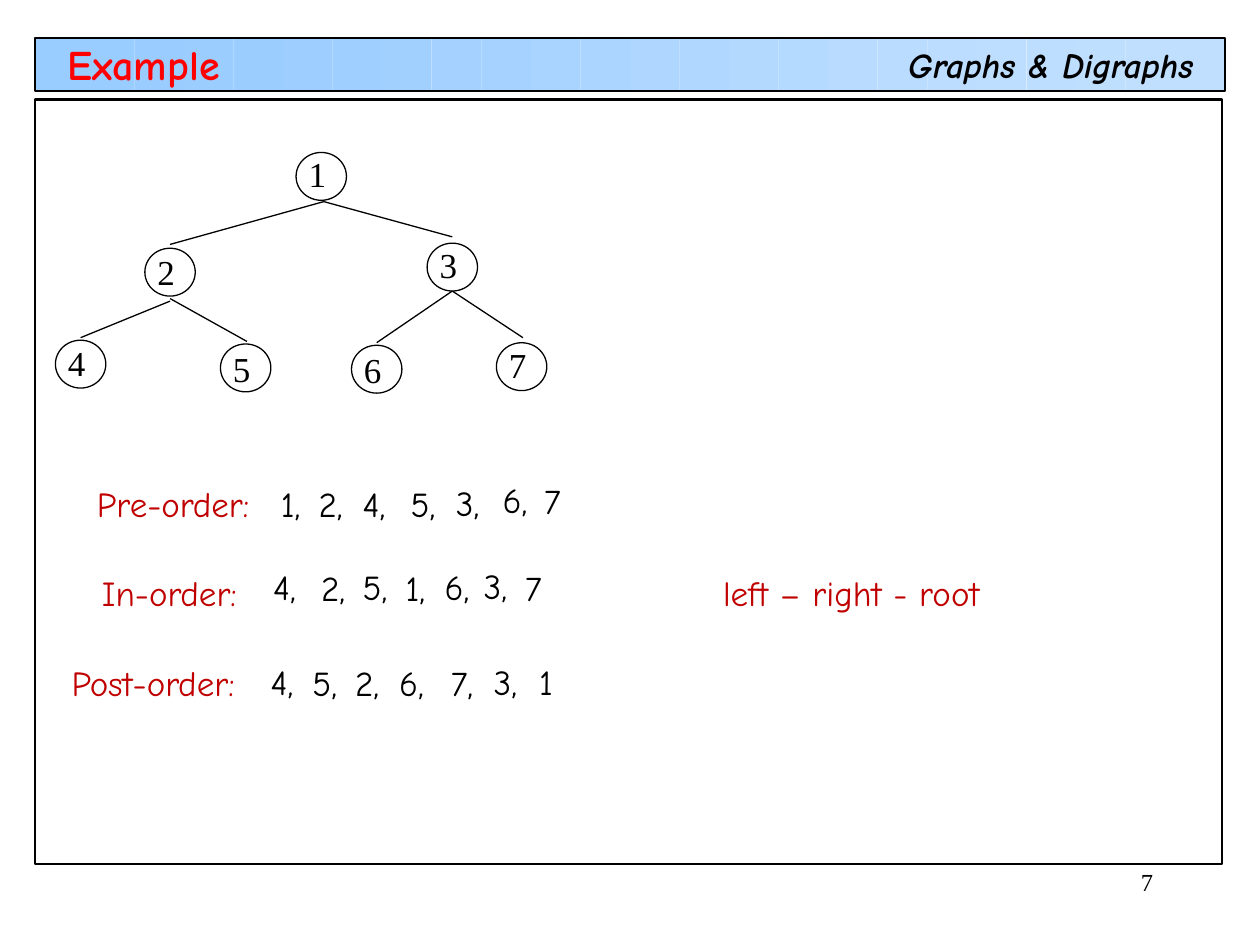
from math import cos, pi

from lxml.etree import SubElement
from pptx import Presentation
from pptx.dml.color import RGBColor
from pptx.enum.shapes import MSO_CONNECTOR, MSO_SHAPE
from pptx.enum.text import MSO_ANCHOR, PP_ALIGN
from pptx.oxml.ns import qn
from pptx.util import Inches, Pt

BLACK = RGBColor(0x00, 0x00, 0x00)
RED = RGBColor(0xFF, 0x00, 0x00)
DARK_RED = RGBColor(0xC0, 0x00, 0x00)
BANNER_LEFT = RGBColor(0x99, 0xCC, 0xFF)
BANNER_RIGHT = RGBColor(0xC0, 0xDF, 0xFF)
COMIC = "Comic Neue"
TIMES = "Times New Roman"

presentation = Presentation()
presentation.slide_width = Inches(10)
presentation.slide_height = Inches(7.5)
slide = presentation.slides.add_slide(presentation.slide_layouts[6])


def add_text(text, left, top, width, height=0.44, size=20, font=COMIC, color=BLACK,
             bold=False, italic=False, align=PP_ALIGN.LEFT, anchor=MSO_ANCHOR.TOP, wrap=True):
    box = slide.shapes.add_textbox(Inches(left), Inches(top), Inches(width), Inches(height))
    frame = box.text_frame
    frame.word_wrap = wrap
    frame.vertical_anchor = anchor
    paragraph = frame.paragraphs[0]
    paragraph.alignment = align
    run = paragraph.add_run()
    run.text = text
    run.font.name = font
    run.font.size = Pt(size)
    run.font.bold = bold
    run.font.italic = italic
    run.font.color.rgb = color


def add_outline(kind, left, top, width, height, fill=None, line_width=None):
    """Add a shape; without a fill or a line width, that part is left empty."""
    shape = slide.shapes.add_shape(kind, Inches(left), Inches(top), Inches(width), Inches(height))
    shape.shadow.inherit = False
    if fill is None:
        shape.fill.background()
    else:
        shape.fill.solid()
        shape.fill.fore_color.rgb = fill
    if line_width is None:
        shape.line.fill.background()
    else:
        shape.line.color.rgb = BLACK
        shape.line.width = Pt(line_width)


# Banner: strips that ease from the left colour to the right one
strip_count = 24
strip_step = 9.44 / strip_count
for index in range(strip_count):
    share = (1 - cos(pi * index / (strip_count - 1))) / 2
    color = RGBColor(*(round(start + (end - start) * share)
                       for start, end in zip(BANNER_LEFT, BANNER_RIGHT)))
    add_outline(MSO_SHAPE.RECTANGLE, 0.28 + index * strip_step, 0.3, strip_step, 0.42, fill=color)

# Frames, headings and page number
add_outline(MSO_SHAPE.RECTANGLE, 0.28, 0.3, 9.44, 0.42, line_width=1.25)
add_outline(MSO_SHAPE.RECTANGLE, 0.28, 0.79, 9.42, 6.07, line_width=1.25)
add_text("Graphs & Digraphs", 7.11, 0.3, 2.48, bold=True, italic=True, wrap=False)
add_text("7", 7.92, 6.83, 1.33, height=0.5, size=14, font=TIMES, align=PP_ALIGN.RIGHT)
add_text("Example", 0.44, 0.38, 5.17, height=0.25, size=24, color=RED, bold=True,
         anchor=MSO_ANCHOR.MIDDLE)

# Tree nodes: label, left, circle top, label top
nodes = [
    ("1", 2.35, 1.21, 1.16),
    ("2", 1.15, 1.97, 1.94),
    ("3", 3.39, 1.93, 1.88),
    ("4", 0.44, 2.7, 2.66),
    ("5", 1.75, 2.73, 2.71),
    ("6", 2.79, 2.74, 2.72),
    ("7", 3.94, 2.72, 2.68),
]
for label, left, circle_top, label_top in nodes:
    add_outline(MSO_SHAPE.OVAL, left, circle_top, 0.4, 0.38, line_width=0.75)
    add_text(label, left, label_top, 0.41, font=TIMES)

# Tree edges: parent end, child end
edges = [
    ((2.57, 1.6), (1.35, 1.94)),
    ((2.57, 1.6), (3.59, 1.88)),
    ((1.35, 2.39), (0.64, 2.68)),
    ((1.35, 2.37), (1.96, 2.71)),
    ((3.59, 2.31), (2.99, 2.72)),
    ((3.59, 2.31), (4.15, 2.68)),
]
for parent, child in edges:
    edge = slide.shapes.add_connector(
        MSO_CONNECTOR.STRAIGHT, *(Inches(value) for value in parent + child))
    edge.line.color.rgb = BLACK
    edge.line.width = Pt(0.75)
    SubElement(edge._element.spPr, qn("a:effectLst"))

# Traversals: name, left, top, width, then each visited node with its left and top
traversals = [
    ("Pre-order:", 0.67, 3.78, 1.42,
     [("1,", 2.13, 3.78), ("2,", 2.43, 3.78), ("4,", 2.78, 3.78), ("5,", 3.16, 3.78),
      ("3,", 3.52, 3.77), ("6,", 3.89, 3.75), ("7", 4.22, 3.76)]),
    ("In-order:", 0.71, 4.49, 1.28,
     [("4,", 2.07, 4.44), ("2,", 2.45, 4.45), ("5,", 2.78, 4.44), ("1,", 3.12, 4.45),
      ("6,", 3.43, 4.44), ("3,", 3.74, 4.43), ("7", 4.07, 4.45)]),
    ("Post-order:", 0.47, 5.2, 2.02,
     [("4,", 2.05, 5.19), ("5,", 2.38, 5.2), ("2,", 2.72, 5.2), ("6,", 3.07, 5.2),
      ("7,", 3.48, 5.2), ("3,", 3.82, 5.19), ("1", 4.18, 5.19)]),
]
for name, left, top, width, visits in traversals:
    add_text(name, left, top, width, color=DARK_RED)
    for label, visit_left, visit_top in visits:
        add_text(label, visit_left, visit_top, 0.55)

add_text("left – right - root", 5.64, 4.49, 2.6, color=DARK_RED)

presentation.save("out.pptx")
